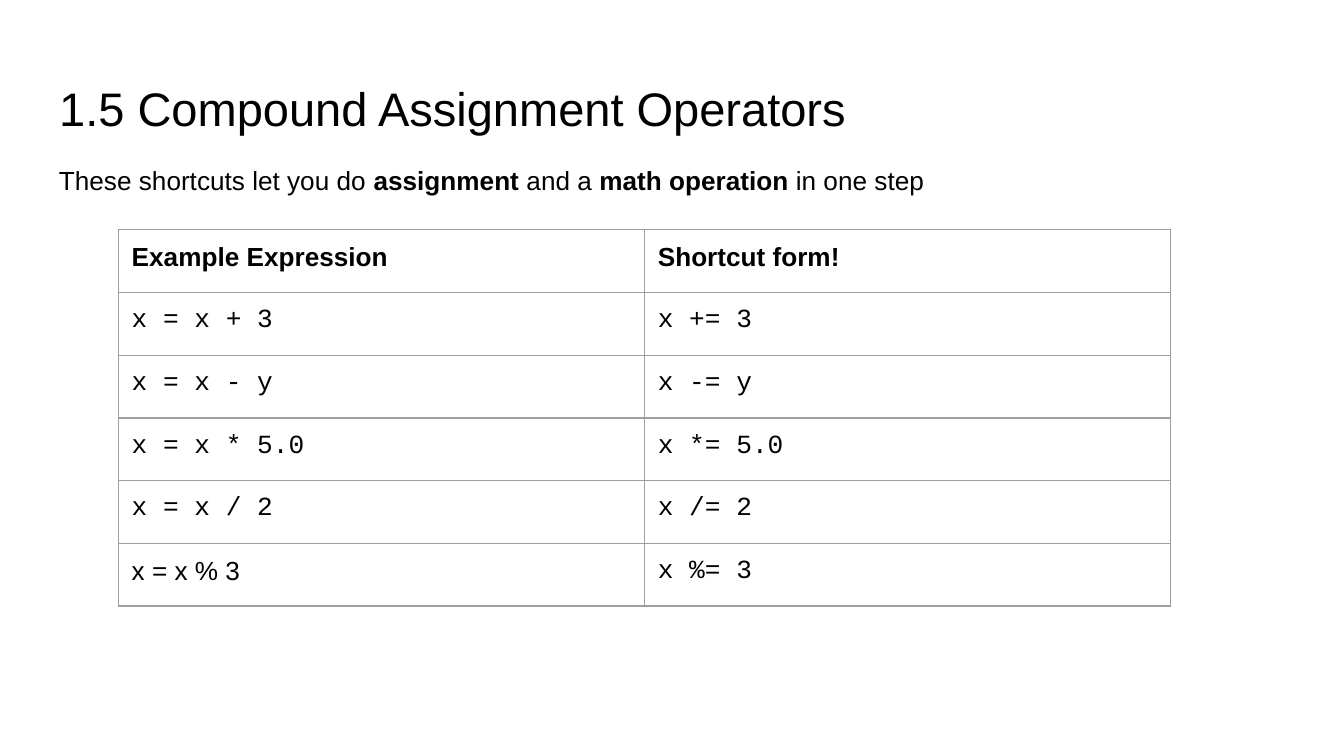
from dataclasses import dataclass

from lxml import etree
from pptx import Presentation
from pptx.dml.color import RGBColor
from pptx.enum.text import MSO_ANCHOR, MSO_AUTO_SIZE, PP_ALIGN
from pptx.oxml.ns import qn
from pptx.util import Inches, Pt


@dataclass(frozen=True)
class Theme:
    text: RGBColor = RGBColor(0x00, 0x00, 0x00)
    border: str = "9E9E9E"
    border_width: int = Pt(0.75)
    title_size: int = Pt(25.2)
    body_size: int = Pt(14)
    font: str = "Arial"
    code_font: str = "Courier New"


theme = Theme()
INSET = Inches(0.1)


def format_text(frame, size):
    frame.margin_left = frame.margin_right = INSET
    frame.margin_top = frame.margin_bottom = INSET
    frame.word_wrap = True
    paragraph = frame.paragraphs[0]
    paragraph.alignment = PP_ALIGN.LEFT
    paragraph.font.size = size
    paragraph.font.name = theme.font
    paragraph.font.color.rgb = theme.text


def add_borders(cell):
    properties = cell._tc.get_or_add_tcPr()
    for position, side in enumerate(("lnL", "lnR", "lnT", "lnB")):
        line = etree.Element(qn(f"a:{side}"), w=str(theme.border_width))
        fill = etree.SubElement(line, qn("a:solidFill"))
        etree.SubElement(fill, qn("a:srgbClr"), val=theme.border)
        properties.insert(position, line)


# Widescreen slide, 16:9
presentation = Presentation()
presentation.slide_width = Inches(10)
presentation.slide_height = Inches(10) * 9 // 16
slide = presentation.slides.add_slide(presentation.slide_layouts[5])

# Title
title = slide.shapes.title
title.left, title.top = Inches(0.34), Inches(0.49)
title.width, title.height = Inches(9.32), Inches(0.63)
title.text_frame.text = "1.5 Compound Assignment Operators"
title.text_frame.auto_size = MSO_AUTO_SIZE.NONE
title.text_frame.vertical_anchor = MSO_ANCHOR.MIDDLE
format_text(title.text_frame, theme.title_size)

# Operator table
rows = [
    ("Example Expression", "Shortcut form!"),
    ("x = x + 3", "x += 3"),
    ("x = x - y", "x -= y"),
    ("x = x * 5.0", "x *= 5.0"),
    ("x = x / 2", "x /= 2"),
    ("x = x % 3", "x %= 3"),
]
table = slide.shapes.add_table(
    len(rows), 2, Inches(0.88), Inches(1.71), Inches(7.83), Inches(2.8)
).table
table.horz_banding = False

for row_index, texts in enumerate(rows):
    for column_index, text in enumerate(texts):
        cell = table.cell(row_index, column_index)
        cell.text = text
        cell.fill.background()
        cell.margin_left = cell.margin_right = INSET
        cell.margin_top = cell.margin_bottom = INSET
        is_header = row_index == 0
        # The last expression is set in the text font
        is_plain = is_header or text == "x = x % 3"
        paragraph = cell.text_frame.paragraphs[0]
        paragraph.font.size = theme.body_size
        paragraph.font.name = theme.font if is_plain else theme.code_font
        paragraph.font.bold = is_header
        paragraph.font.color.rgb = theme.text
        add_borders(cell)

# Introductory sentence
intro = slide.shapes.add_textbox(Inches(0.34), Inches(1.12), Inches(7.66), Inches(0.44))
paragraph = intro.text_frame.paragraphs[0]
for text, bold in [
    ("These shortcuts let you do ", False),
    ("assignment ", True),
    ("and a ", False),
    ("math operation", True),
    (" in one step", False),
]:
    run = paragraph.add_run()
    run.text = text
    run.font.bold = bold
format_text(intro.text_frame, theme.body_size)

presentation.save("out.pptx")
